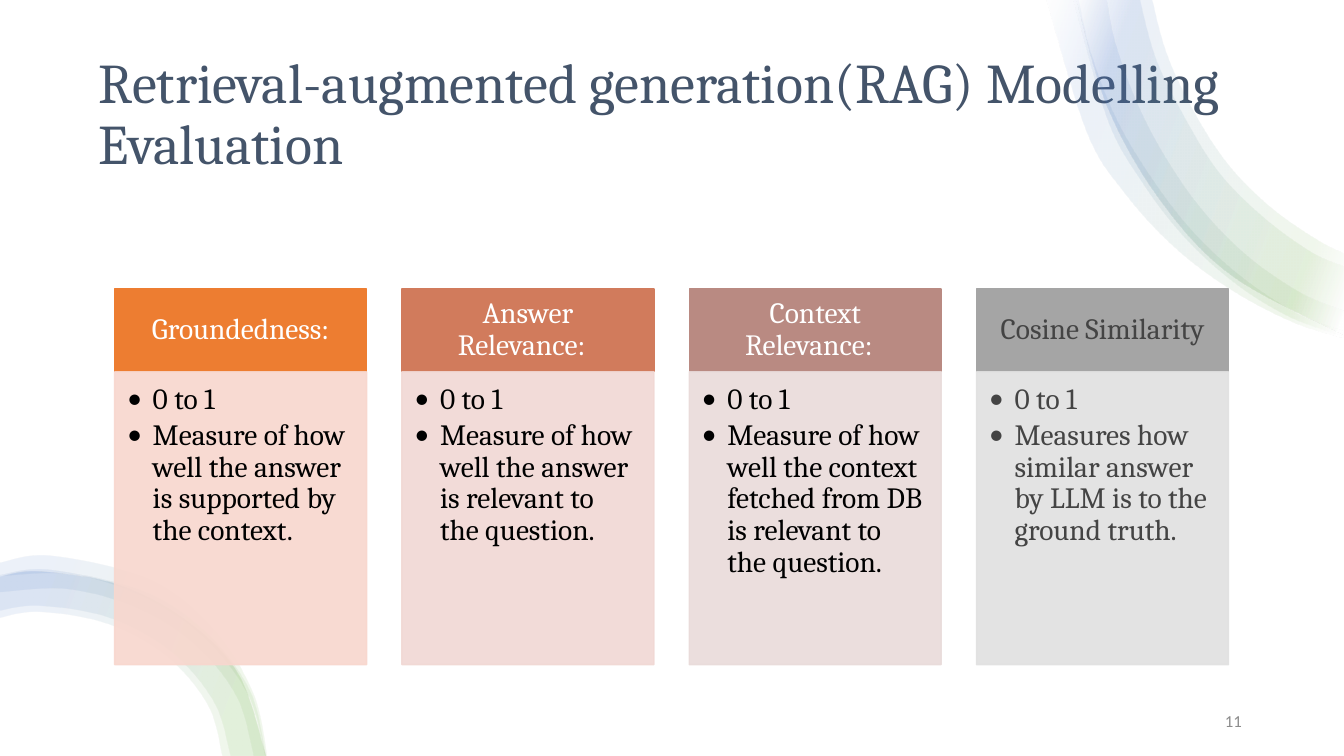
from dataclasses import dataclass

from pptx import Presentation
from pptx.dml.color import RGBColor as Rgb
from pptx.enum.shapes import MSO_SHAPE as Kind
from pptx.enum.text import MSO_ANCHOR as Anchor, PP_ALIGN as Align
from pptx.oxml import parse_xml
from pptx.oxml.ns import nsdecls, qn
from pptx.util import Cm, Pt


@dataclass(frozen=True)
class Theme:
    serif: str = "Cambria"
    sans: str = "Calibri"
    title: str = "44546A"
    number: str = "8C8C8C"
    white: str = "FFFFFF"
    black: str = "000000"
    dark: str = "444444"
    big: int = 40
    text: int = 21
    small: int = 12
    glow: tuple = ((2, "FFFFFF"), (16, "70AD47"), (85, "4472C4"), (100, "FFFFFF"))
    angle: int = 200


# Ribbon edges as points in inches; each band runs along one outer and one inner edge
TOP_RIM = [(10.68, 0), (10.99, 1.07), (11.52, 2), (12.23, 2.74), (13.33, 3.32)]
LOW_RIM = [(0, 5.72), (0.4, 5.67), (1.17, 5.8), (1.85, 6.16), (2.36, 6.69), (2.63, 7.5)]
TOP = [
    ([(10.38, 0), (10.78, 1.31), (11.16, 1.92), (11.65, 2.45),
      (12.21, 2.87), (12.82, 3.19), (13.33, 3.35)],
     [(13.33, 3.28), (12.86, 3.1), (12.3, 2.73), (11.81, 2.27), (11.4, 1.73),
      (11.06, 1.15), (10.82, 0.52), (10.7, 0)]),
    (TOP_RIM,
     [(13.33, 2.51), (13.07, 2.38), (12.61, 2.06), (12.19, 1.64), (11.85, 1.12),
      (11.58, 0.55), (11.43, 0)]),
    ([(10.65, 0), (10.99, 1.19), (11.32, 1.79), (11.73, 2.33),
      (12.24, 2.8), (12.79, 3.14), (13.33, 3.33)],
     [(13.33, 3.08), (12.9, 2.9), (12.39, 2.55), (11.95, 2.11), (11.58, 1.59),
      (11.29, 1.04), (11.07, 0.44), (10.98, 0)]),
    (TOP_RIM,
     [(13.33, 2.64), (13.01, 2.5), (12.54, 2.16), (12.1, 1.72), (11.76, 1.18),
      (11.47, 0.59), (11.31, 0)]),
]
LOW = [
    (LOW_RIM,
     [(2.2, 7.5), (2.06, 7), (1.66, 6.52), (1.07, 6.19), (0.4, 6.07), (0, 6.13)]),
    (LOW_RIM,
     [(2.28, 7.5), (2.12, 6.97), (1.7, 6.47), (1.09, 6.13), (0.4, 6.01), (0, 6.06)]),
    ([(0, 5.71), (0.5, 5.66), (1.42, 5.87), (2.03, 6.27), (2.47, 6.85), (2.63, 7.5)],
     [(2.51, 7.5), (2.34, 6.91), (1.92, 6.39), (1.34, 6.03), (0.67, 5.85), (0, 5.88)]),
    ([(0, 5.59), (0.51, 5.52), (1.48, 5.75), (2.1, 6.23), (2.5, 6.87), (2.64, 7.5)],
     [(2.62, 7.5), (2.45, 6.89), (2, 6.31), (1.39, 5.91), (0.69, 5.7), (0, 5.72)]),
]

# Heading, measure, heading fill, body fill
CARDS = [
    ("Groundedness:", "Measure of how well the answer is supported by the context.",
     "ED7D31", "F8D7CE"),
    ("Answer Relevance:  ", "Measure of how well the answer is relevant to the question.",
     "D17B5C", "F1D8D4"),
    ("Context Relevance:  ",
     "Measure of how well the context fetched from DB is relevant to the question.",
     "B98A82", "E9DBDA"),
    ("Cosine Similarity", "Measures how similar answer by LLM is to the ground truth.",
     "A5A5A5", "E1E1E1"),
]


def bend(lines, pts):
    """Turn the straight segments through the points into smooth curves."""
    ends = [pts[0], *pts, pts[-1]]
    for line, a, b, c, d in zip(lines, ends, ends[1:], ends[2:], ends[3:]):
        first = [q + (r - p) / 6 for p, q, r in zip(a, b, c)]
        second = [r - (s - q) / 6 for q, r, s in zip(b, c, d)]
        knots = "".join(f'<a:pt x="{round(x)}" y="{round(y)}"/>'
                        for x, y in (first, second, c))
        curve = parse_xml(f'<a:cubicBezTo {nsdecls("a")}>{knots}</a:cubicBezTo>')
        line.getparent().replace(line, curve)


class Deck:
    def __init__(self, theme):
        self.theme = theme
        self.show = Presentation()
        self.show.slide_width, self.show.slide_height = Cm(33.87), Cm(19.05)
        self.slide = self.show.slides.add_slide(self.show.slide_layouts[5])
        self.shapes = self.slide.shapes

    def font(self, para, size, color, face=None):
        para.font.name = face or self.theme.serif
        para.font.size = Pt(size)
        para.font.color.rgb = Rgb.from_string(color)

    def rect(self, box, fill):
        shape = self.shapes.add_shape(Kind.RECTANGLE, *map(Cm, box))
        shape.shadow.inherit = False
        shape.fill.solid()
        shape.fill.fore_color.rgb = Rgb.from_string(fill)
        return shape

    def ground(self):
        shape = self.rect((0, 0, 33.87, 19.05), self.theme.white)
        shape.line.fill.background()
        self.shapes._spTree.insert(2, shape._element)

    def title(self, text, box):
        shape = self.shapes.title
        shape.left, shape.top, shape.width, shape.height = map(Cm, box)
        frame = shape.text_frame
        frame.text, frame.word_wrap = text, True
        frame.vertical_anchor = Anchor.MIDDLE
        para = frame.paragraphs[0]
        para.alignment, para.line_spacing = Align.LEFT, 0.9
        self.font(para, self.theme.big, self.theme.title)

    def ribbon(self, outer, inner, glow):
        edge = [(Cm(2.54 * x), Cm(2.54 * y)) for x, y in outer + inner]
        pen = self.shapes.build_freeform(*edge[0])
        pen.add_line_segments(edge[1:], close=True)
        shape = pen.convert_to_shape()
        shape.shadow.inherit = False
        shape.line.fill.background()
        props = shape._element.spPr
        lines = list(props.iter(qn("a:lnTo")))
        local = [(x - shape.left, y - shape.top) for x, y in edge]
        turn = len(outer)
        bend(lines[:turn - 1], local[:turn])
        bend(lines[turn:], local[turn:])
        stops = "".join(
            f'<a:gs pos="{pos * 1000}"><a:srgbClr val="{color}">'
            f'<a:alpha val="10000"/></a:srgbClr></a:gs>' for pos, color in glow)
        props.insert(2, parse_xml(
            f'<a:gradFill {nsdecls("a")} rotWithShape="1"><a:gsLst>{stops}</a:gsLst>'
            f'<a:lin ang="{self.theme.angle * 60000}" scaled="0"/></a:gradFill>'))

    def panel(self, box, fill, lines, color, insets, bullet=False):
        shape = self.rect(box, fill)
        shape.line.color.rgb = Rgb.from_string(fill)
        shape.line.width = Pt(1)
        frame = shape.text_frame
        frame.word_wrap = True
        frame.vertical_anchor = Anchor.TOP if bullet else Anchor.MIDDLE
        (frame.margin_left, frame.margin_top,
         frame.margin_right, frame.margin_bottom) = map(Cm, insets)
        frame.text = "\n".join(lines)
        for para in frame.paragraphs:
            para.alignment = Align.LEFT if bullet else Align.CENTER
            para.line_spacing = 0.9
            if bullet:
                para.space_after = Pt(3)
                props = para._p.get_or_add_pPr()
                props.set("marL", str(Cm(0.64)))
                props.set("indent", str(-Cm(0.64)))
                props.append(parse_xml(f'<a:buFont {nsdecls("a")} typeface="Calibri"/>'))
                props.append(parse_xml(f'<a:buChar {nsdecls("a")} char="•"/>'))
            self.font(para, self.theme.text, color)
        return shape

    def fade(self, shape, percent):
        for tint in shape._element.spPr.iter(qn("a:srgbClr")):
            tint.append(parse_xml(f'<a:alpha {nsdecls("a")} val="{percent * 1000}"/>'))

    def number(self, text, box):
        frame = self.shapes.add_textbox(*map(Cm, box)).text_frame
        frame.text, frame.word_wrap = text, True
        frame.vertical_anchor = Anchor.MIDDLE
        frame.paragraphs[0].alignment = Align.RIGHT
        self.font(frame.paragraphs[0], self.theme.small, self.theme.number, self.theme.sans)


def main():
    theme = Theme()
    deck = Deck(theme)

    # Ground, title and ribbons
    deck.ground()
    deck.title("Retrieval-augmented generation(RAG) Modelling Evaluation",
               (2.24, 1.27, 29.39, 3.3))
    for bands, glow in ((TOP, theme.glow), (LOW, theme.glow[1:3])):
        for outer, inner in bands:
            deck.ribbon(outer, inner, glow)

    # Cards
    left, step, width = 2.89, 7.24, 6.35
    top, head, body = 7.28, 2.09, 7.38
    for i, (name, measure, strong, pale) in enumerate(CARDS):
        x = left + i * step
        last = i == len(CARDS) - 1
        deck.panel((x, top, width, head), strong, [name],
                   theme.dark if last else theme.white, (0.41, 0.23, 0.41, 0.23))
        lower = deck.panel((x, top + head, width, body), pale, ["0 to 1", measure],
                           theme.dark if last else theme.black,
                           (0.32, 0.31, 0.43, 0.46), bullet=True)
        deck.fade(lower, 90)

    # Slide number
    deck.number("11", (23.93, 17.65, 7.62, 1.02))
    deck.show.save("out.pptx")


if __name__ == "__main__":
    main()
